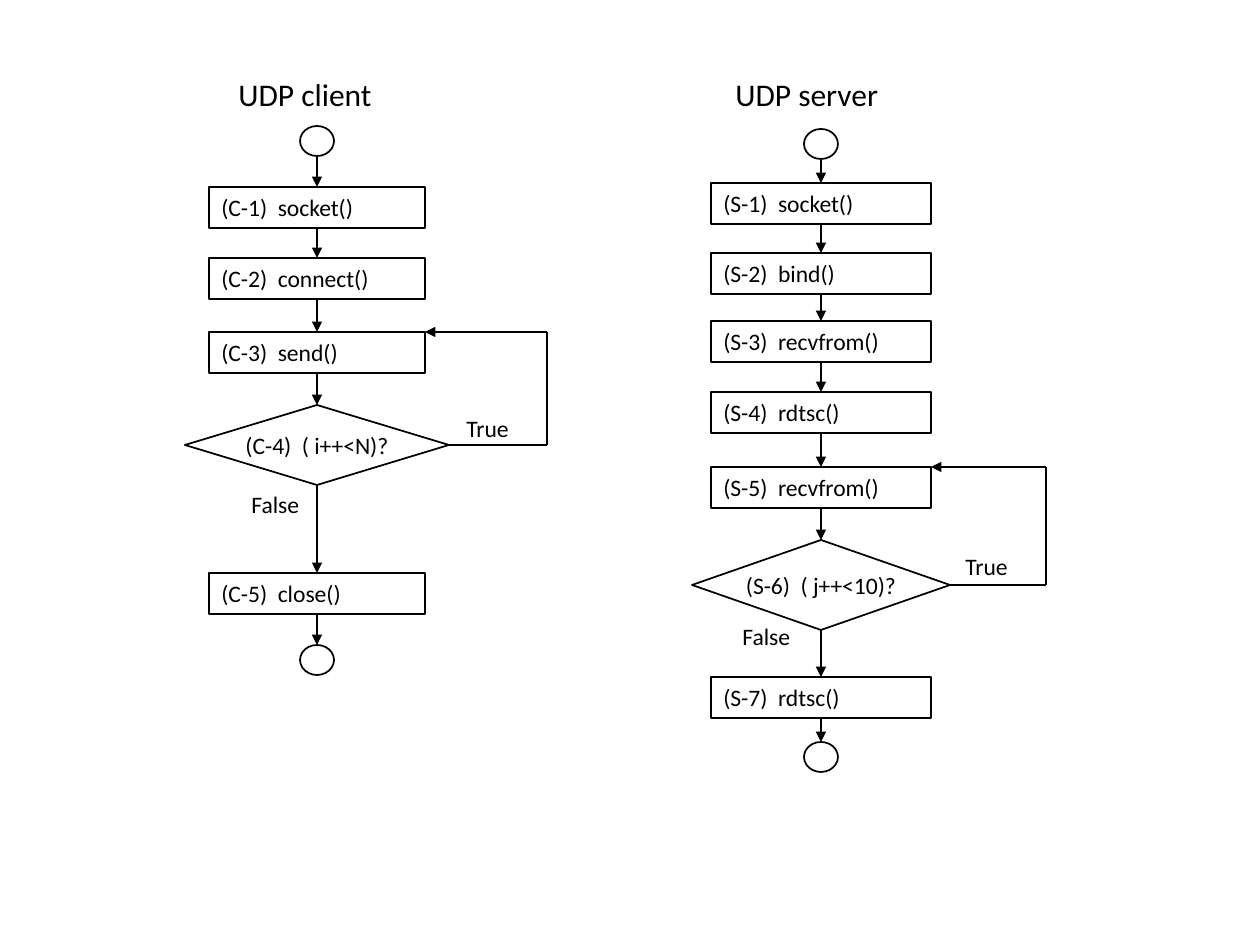
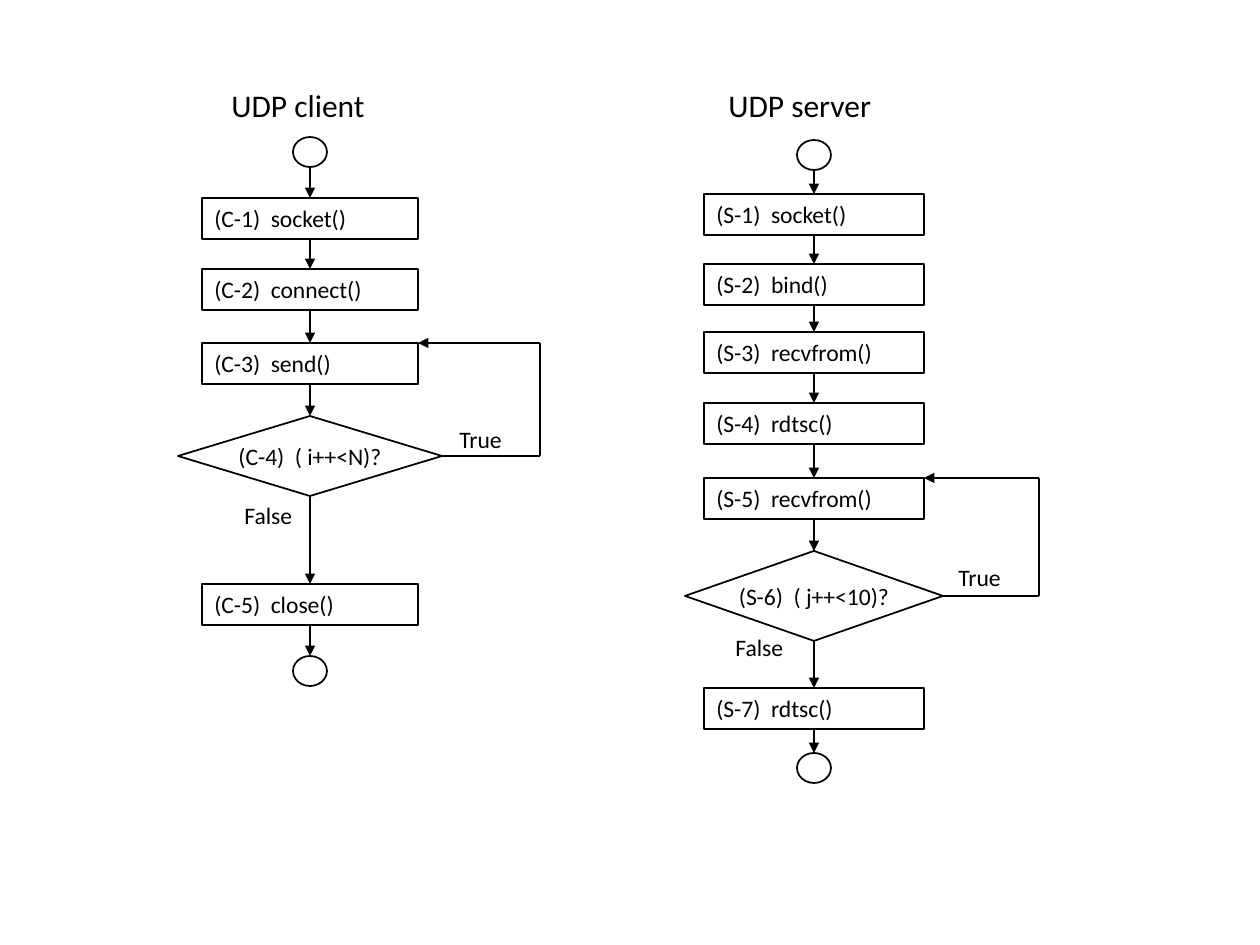
from dataclasses import dataclass

from lxml import etree
from pptx import Presentation
from pptx.dml.color import RGBColor
from pptx.enum.shapes import MSO_CONNECTOR, MSO_SHAPE
from pptx.enum.text import MSO_ANCHOR, MSO_AUTO_SIZE, PP_ALIGN
from pptx.oxml.ns import qn
from pptx.shapes.autoshape import Shape
from pptx.shapes.connector import Connector
from pptx.shapes.shapetree import GroupShapes
from pptx.util import Emu, Pt

PX = 914400 // 126
BLACK = RGBColor(0, 0, 0)
WHITE = RGBColor(255, 255, 255)
FONT = "Calibri"
HEADING_SIZE = 18
LABEL_SIZE = 13.5
STRAIGHT = MSO_CONNECTOR.STRAIGHT
BOX, DECISION, TERMINAL = MSO_SHAPE.RECTANGLE, MSO_SHAPE.DIAMOND, MSO_SHAPE.OVAL
LEFT, CENTER = PP_ALIGN.LEFT, PP_ALIGN.CENTER
TOP, MIDDLE = MSO_ANCHOR.TOP, MSO_ANCHOR.MIDDLE
GROW = MSO_AUTO_SIZE.SHAPE_TO_FIT_TEXT
TOP_SITE, BOTTOM_SITE, RIGHT_SITE = 0, 2, 3
BOX_HEIGHT = 41
TERMINAL_SIZE = (34, 30)


@dataclass(frozen=True)
class Step:
    top: int
    text: str = ""
    kind: MSO_SHAPE = BOX


@dataclass(frozen=True)
class Label:
    text: str
    left: int
    top: int
    width: int
    height: int
    size: float = LABEL_SIZE


@dataclass(frozen=True)
class Flowchart:
    axis: int
    box_width: int
    decision_size: tuple[int, int]
    loop_right: int
    steps: list[Step]
    labels: list[Label]


CLIENT = Flowchart(
    axis=317, box_width=216, decision_size=(264, 80), loop_right=547,
    steps=[
        Step(126, kind=TERMINAL),
        Step(187, "(C-1)  socket()"),
        Step(258, "(C-2)  connect()"),
        Step(332, "(C-3)  send()"),
        Step(405, "(C-4)  ( i++<N)?", DECISION),
        Step(573, "(C-5)  close()"),
        Step(645, kind=TERMINAL),
    ],
    labels=[
        Label("UDP client", 226, 69, 183, 56, HEADING_SIZE),
        Label("True", 454, 408, 83, 46),
        Label("False", 239, 484, 93, 46),
    ],
)
SERVER = Flowchart(
    axis=821, box_width=220, decision_size=(258, 90), loop_right=1046,
    steps=[
        Step(129, kind=TERMINAL),
        Step(183, "(S-1)  socket()"),
        Step(253, "(S-2)  bind()"),
        Step(321, "(S-3)  recvfrom()"),
        Step(392, "(S-4)  rdtsc()"),
        Step(467, "(S-5)  recvfrom()"),
        Step(540, "(S-6)  ( j++<10)?", DECISION),
        Step(677, "(S-7)  rdtsc()"),
        Step(742, kind=TERMINAL),
    ],
    labels=[
        Label("UDP server", 723, 69, 195, 56, HEADING_SIZE),
        Label("True", 953, 546, 81, 46),
        Label("False", 730, 616, 93, 46),
    ],
)
# Shift of both flowcharts on each slide, in px
SLIDE_SHIFTS = [(0, 0), (-7, 11)]


def write_text(shape: Shape, text: str, *, size: float = LABEL_SIZE,
               align: PP_ALIGN = LEFT, anchor: MSO_ANCHOR = TOP,
               wrap: bool = True) -> None:
    frame = shape.text_frame
    frame.word_wrap = wrap
    frame.vertical_anchor = anchor
    paragraph = frame.paragraphs[0]
    paragraph.alignment = align
    run = paragraph.add_run()
    run.text = text
    run.font.name = FONT
    run.font.size = Pt(size)
    run.font.color.rgb = BLACK


def add_step(shapes: GroupShapes, chart: Flowchart, step: Step,
             shift: tuple[int, int]) -> Shape:
    sizes = {BOX: (chart.box_width, BOX_HEIGHT),
             DECISION: chart.decision_size, TERMINAL: TERMINAL_SIZE}
    width, height = sizes[step.kind]
    left = chart.axis - width // 2 + shift[0]
    shape = shapes.add_shape(step.kind, left * PX, (step.top + shift[1]) * PX,
                             width * PX, height * PX)
    shape.shadow.inherit = False
    shape.line.color.rgb = BLACK
    shape.line.width = Pt(1)
    if step.kind == TERMINAL:
        shape.fill.background()
        return shape
    shape.fill.solid()
    shape.fill.fore_color.rgb = WHITE
    is_decision = step.kind == DECISION
    write_text(shape, step.text, align=CENTER if is_decision else LEFT,
               anchor=MIDDLE, wrap=not is_decision)
    return shape


def add_label(shapes: GroupShapes, label: Label, shift: tuple[int, int]) -> None:
    box = shapes.add_textbox((label.left + shift[0]) * PX, (label.top + shift[1]) * PX,
                             label.width * PX, label.height * PX)
    write_text(box, label.text, size=label.size)
    box.text_frame.auto_size = GROW


def add_line(shapes: GroupShapes, start: tuple[int, int], end: tuple[int, int],
             *, arrow: bool = False) -> Connector:
    """Draw a straight line between two points given in EMU."""
    line = shapes.add_connector(STRAIGHT, *start, *end)
    line.line.color.rgb = BLACK
    line.line.width = Pt(1.5)
    if arrow:
        outline = line.line._get_or_add_ln()
        etree.SubElement(outline, qn("a:tailEnd"), type="triangle")
    etree.SubElement(line._element.spPr, qn("a:effectLst"))
    return line


def link_steps(shapes: GroupShapes, upper: Shape, lower: Shape) -> None:
    middle = upper.left + upper.width // 2
    arrow = add_line(shapes, (middle, upper.top + upper.height),
                     (middle, lower.top), arrow=True)
    # An ellipse numbers its connection sites differently below the top one
    if upper.auto_shape_type != TERMINAL:
        arrow.begin_connect(upper, BOTTOM_SITE)
    arrow.end_connect(lower, TOP_SITE)


def add_loop(shapes: GroupShapes, decision: Shape, target: Shape, right: int) -> None:
    """Lead from the decision's right tip back to the target's top right corner."""
    tip = (decision.left + decision.width, decision.top + decision.height // 2)
    lower_corner, upper_corner = (right, tip[1]), (right, target.top)
    add_line(shapes, tip, lower_corner).begin_connect(decision, RIGHT_SITE)
    add_line(shapes, lower_corner, upper_corner)
    add_line(shapes, upper_corner, (target.left + target.width, target.top), arrow=True)


def add_flowchart(shapes: GroupShapes, chart: Flowchart, shift: tuple[int, int]) -> None:
    nodes = [add_step(shapes, chart, step, shift) for step in chart.steps]
    for upper, lower in zip(nodes, nodes[1:]):
        link_steps(shapes, upper, lower)
        if lower.auto_shape_type == DECISION:
            add_loop(shapes, lower, upper, (chart.loop_right + shift[0]) * PX)
    for label in chart.labels:
        add_label(shapes, label, shift)


def main() -> None:
    presentation = Presentation()
    presentation.slide_width = Emu(1260 * PX)
    presentation.slide_height = Emu(945 * PX)
    blank_layout = presentation.slide_layouts[6]
    for shift in SLIDE_SHIFTS:
        slide = presentation.slides.add_slide(blank_layout)
        for chart in (SERVER, CLIENT):
            add_flowchart(slide.shapes.add_group_shape().shapes, chart, shift)
    presentation.save("out.pptx")


if __name__ == "__main__":
    main()
